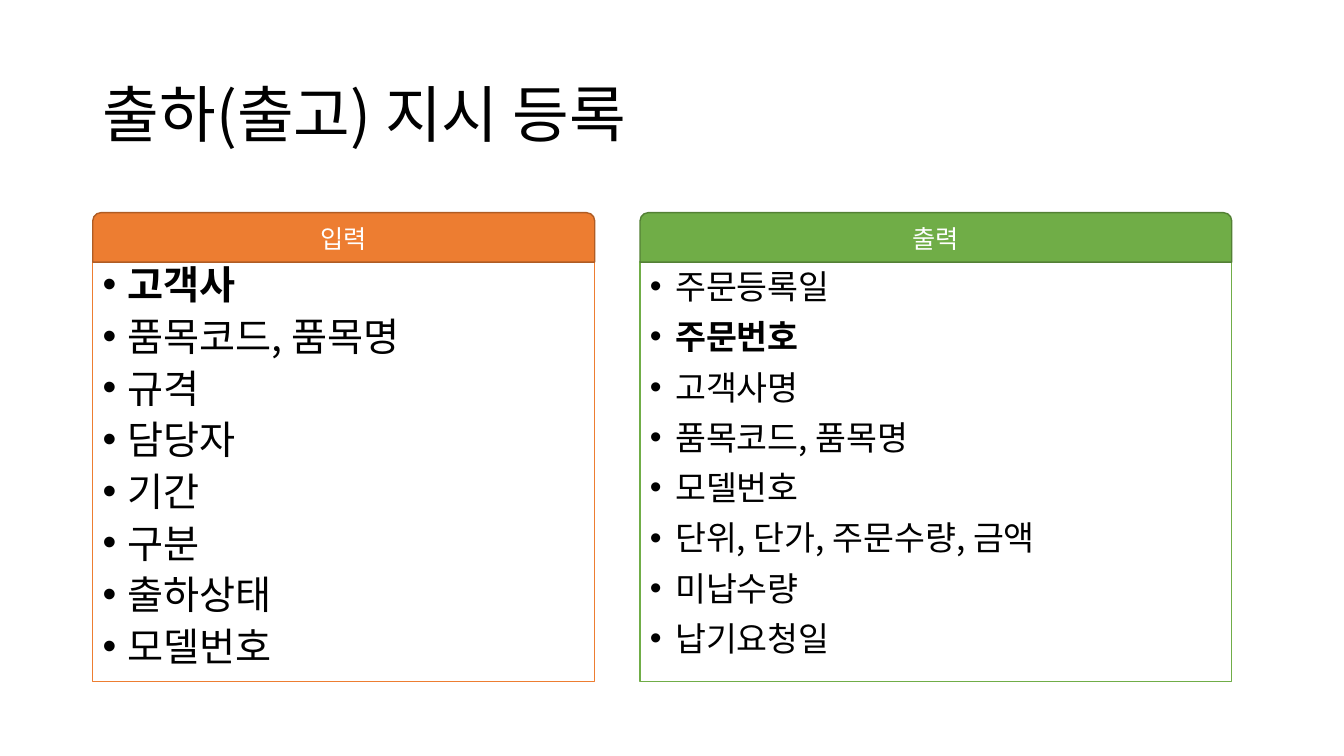
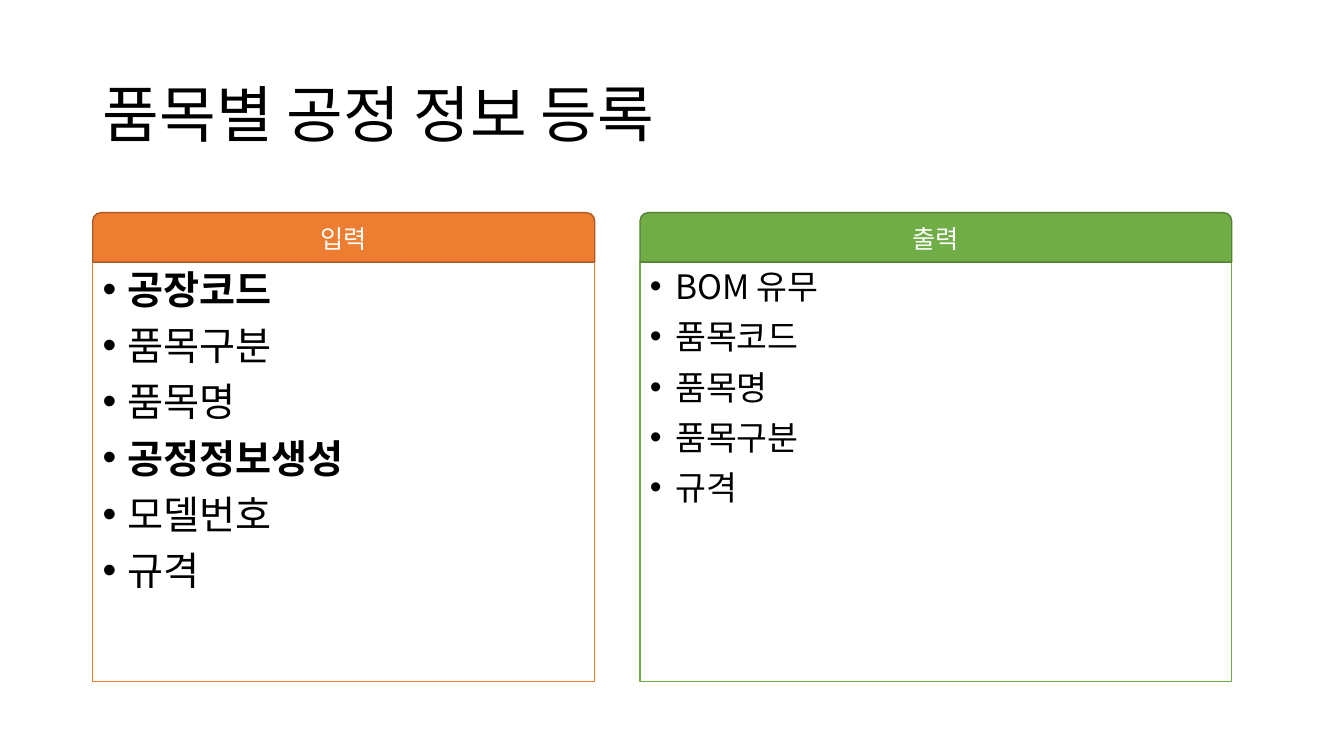
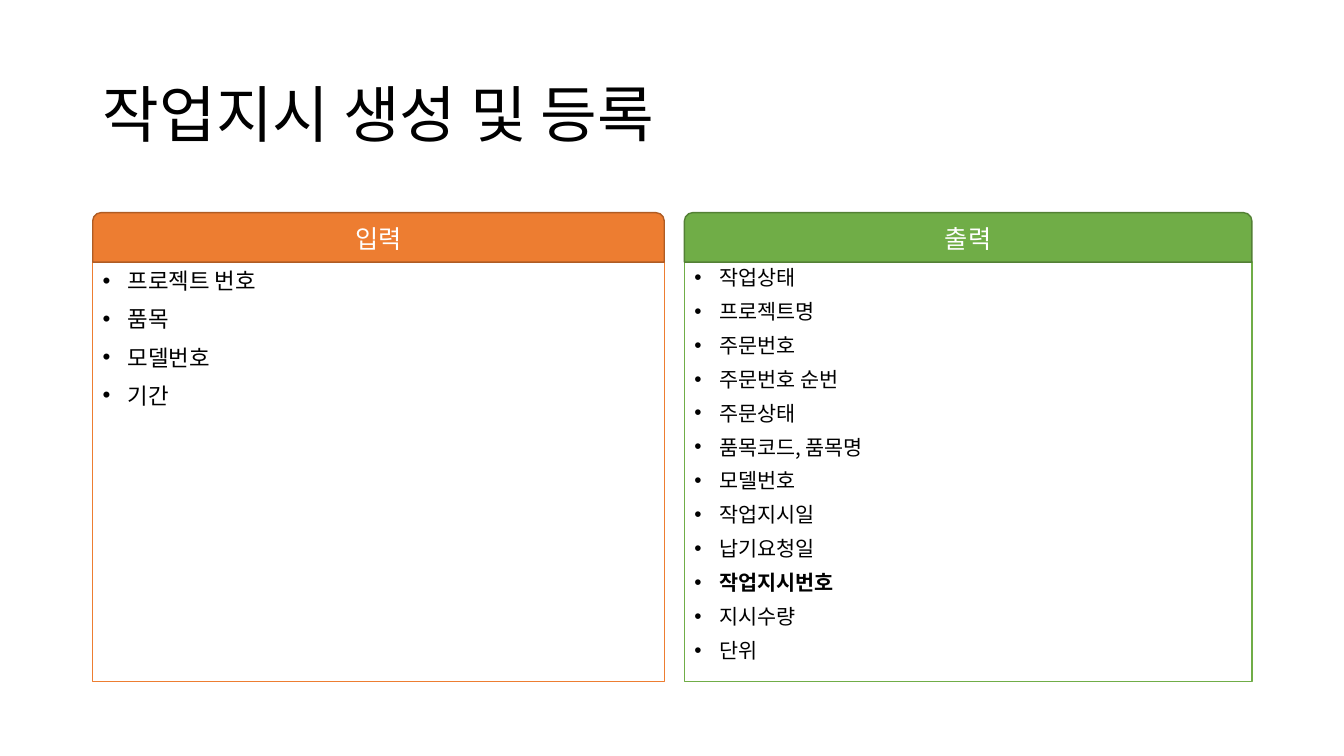
from lxml import etree
from pptx import Presentation
from pptx.dml.color import RGBColor
from pptx.enum.shapes import MSO_SHAPE
from pptx.enum.text import MSO_ANCHOR, PP_ALIGN
from pptx.oxml.ns import qn
from pptx.util import Pt

RECT = MSO_SHAPE.RECTANGLE
TAB = MSO_SHAPE.ROUND_2_SAME_RECTANGLE
TOP, MIDDLE = MSO_ANCHOR.TOP, MSO_ANCHOR.MIDDLE
LEFT, CENTER = PP_ALIGN.LEFT, PP_ALIGN.CENTER

FONT = "Noto Sans CJK KR"
COLORS = {
    "text": "000000", "white": "FFFFFF",
    "input": "ED7D31", "input_edge": "AF5C24",
    "output": "70AD47", "output_edge": "538035",
}
LABELS = {"input": "입력", "output": "출력"}

MARGIN = 66.24
TITLE_BOX = (MARGIN, 28.8, 828, 104.4)
TAB_TOP, TAB_HEIGHT = 151.9, 35.3
BODY_TOP, BODY_HEIGHT = TAB_TOP + TAB_HEIGHT, 299.5
INDENT = 18
LINE_HEIGHT = 1.2  # line pitch per point of text size

WIDE_OUTPUT = {"input": (MARGIN, 358.56), "output": (457.2, 422.64)}
EVEN = {"input": (MARGIN, 408.24), "output": (488.88, 405.36)}

SLIDES = [
    {
        "title": "출하(출고) 지시 등록",
        "columns": WIDE_OUTPUT,
        "input": {
            "size": 28, "spacing": 0.8, "bold": ["고객사"],
            "items": ["고객사", "품목코드, 품목명", "규격", "담당자", "기간",
                      "구분", "출하상태", "모델번호"],
        },
        "output": {
            "size": 24, "spacing": 0.9, "bold": ["주문번호"],
            "items": ["주문등록일", "주문번호", "고객사명", "품목코드, 품목명",
                      "모델번호", "단위, 단가, 주문수량, 금액", "미납수량",
                      "납기요청일"],
        },
    },
    {
        "title": "품목별 공정 정보 등록",
        "columns": WIDE_OUTPUT,
        "input": {
            "size": 28, "spacing": 0.9, "bold": ["공장코드", "공정정보생성"],
            "items": ["공장코드", "품목구분", "품목명", "공정정보생성",
                      "모델번호", "규격"],
        },
        "output": {
            "size": 24, "spacing": 0.9, "bold": [],
            "items": ["BOM 유무", "품목코드", "품목명", "품목구분", "규격"],
        },
    },
    {
        "title": "작업지시 생성 및 등록",
        "columns": EVEN,
        "input": {
            "size": 16, "spacing": 0.9, "bold": [],
            "items": ["프로젝트 번호", "품목", "모델번호", "기간"],
        },
        "output": {
            "size": 14.8, "spacing": 0.8, "bold": ["작업지시번호"],
            "items": ["작업상태", "프로젝트명", "주문번호", "주문번호 순번",
                      "주문상태", "품목코드, 품목명", "모델번호", "작업지시일",
                      "납기요청일", "작업지시번호", "지시수량", "단위"],
        },
    },
]


def rgb(name):
    return RGBColor.from_string(COLORS[name])


def write(p, text, size, color="text", bold=False, align=LEFT):
    p.text = text
    p.alignment = align
    for r in p.runs:
        r.font.size = Pt(size)
        r.font.name = FONT
        r.font.bold = bold
        r.font.color.rgb = rgb(color)
        ea = etree.SubElement(r.font._element, qn("a:ea"))
        ea.set("typeface", FONT)


def set_pitch(p, size, spacing):
    p.line_spacing = Pt(round(size * spacing * LINE_HEIGHT, 1))


def add_bullet(p):
    pPr = p._p.get_or_add_pPr()
    pPr.set("marL", str(Pt(INDENT)))
    pPr.set("indent", str(-Pt(INDENT)))
    etree.SubElement(pPr, qn("a:buFont")).set("typeface", "Arial")
    etree.SubElement(pPr, qn("a:buChar")).set("char", "•")


def add_title(slide, text):
    sp = slide.shapes.title
    sp.left, sp.top, sp.width, sp.height = map(Pt, TITLE_BOX)
    tf = sp.text_frame
    tf.word_wrap = True
    tf.vertical_anchor = MIDDLE
    tf.margin_top = Pt(8.6)
    p = tf.paragraphs[0]
    write(p, text, 44)
    set_pitch(p, 44, 0.9)


def add_box(slide, kind, box, fill, line, anchor):
    sp = slide.shapes.add_shape(kind, *map(Pt, box))
    sp.shadow.inherit = False
    sp.fill.solid()
    sp.fill.fore_color.rgb = rgb(fill)
    sp.line.color.rgb = rgb(line)
    sp.line.width = Pt(1)
    sp.text_frame.word_wrap = True
    sp.text_frame.vertical_anchor = anchor
    return sp.text_frame


def add_panel(slide, role, x, width, panel):
    """Add a bulleted box with its coloured header tab."""
    tf = add_box(slide, RECT, (x, BODY_TOP, width, BODY_HEIGHT), "white", role, TOP)
    tf.margin_top = Pt(5.6)
    for i, item in enumerate(panel["items"]):
        p = tf.add_paragraph() if i else tf.paragraphs[0]
        write(p, item, panel["size"], bold=item in panel["bold"])
        set_pitch(p, panel["size"], panel["spacing"])
        p.space_before = Pt(10)
        add_bullet(p)

    tf = add_box(slide, TAB, (x, TAB_TOP, width, TAB_HEIGHT), role, role + "_edge", MIDDLE)
    write(tf.paragraphs[0], LABELS[role], 18, "white", align=CENTER)


def main():
    prs = Presentation()
    prs.slide_width, prs.slide_height = Pt(960), Pt(540)
    for content in SLIDES:
        slide = prs.slides.add_slide(prs.slide_layouts[5])
        add_title(slide, content["title"])
        for role, (x, width) in content["columns"].items():
            add_panel(slide, role, x, width, content[role])
    prs.save("out.pptx")


if __name__ == "__main__":
    main()
